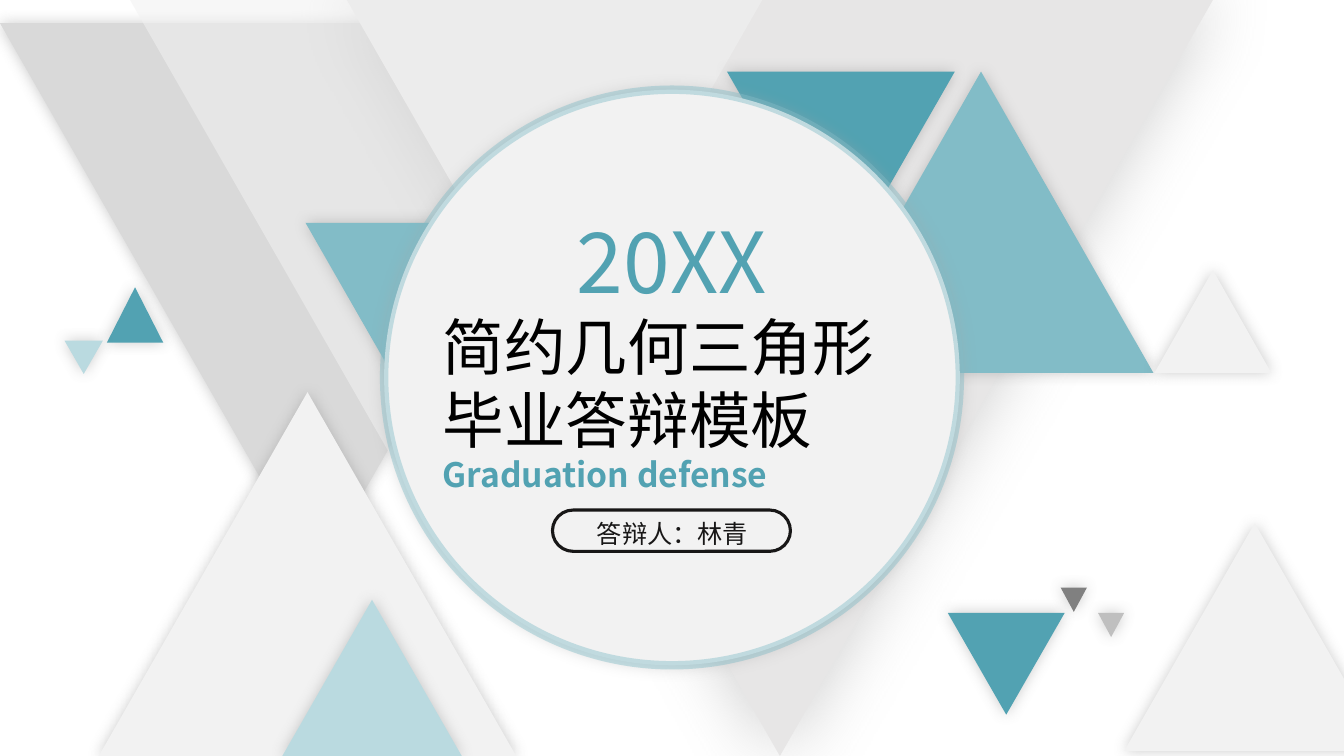
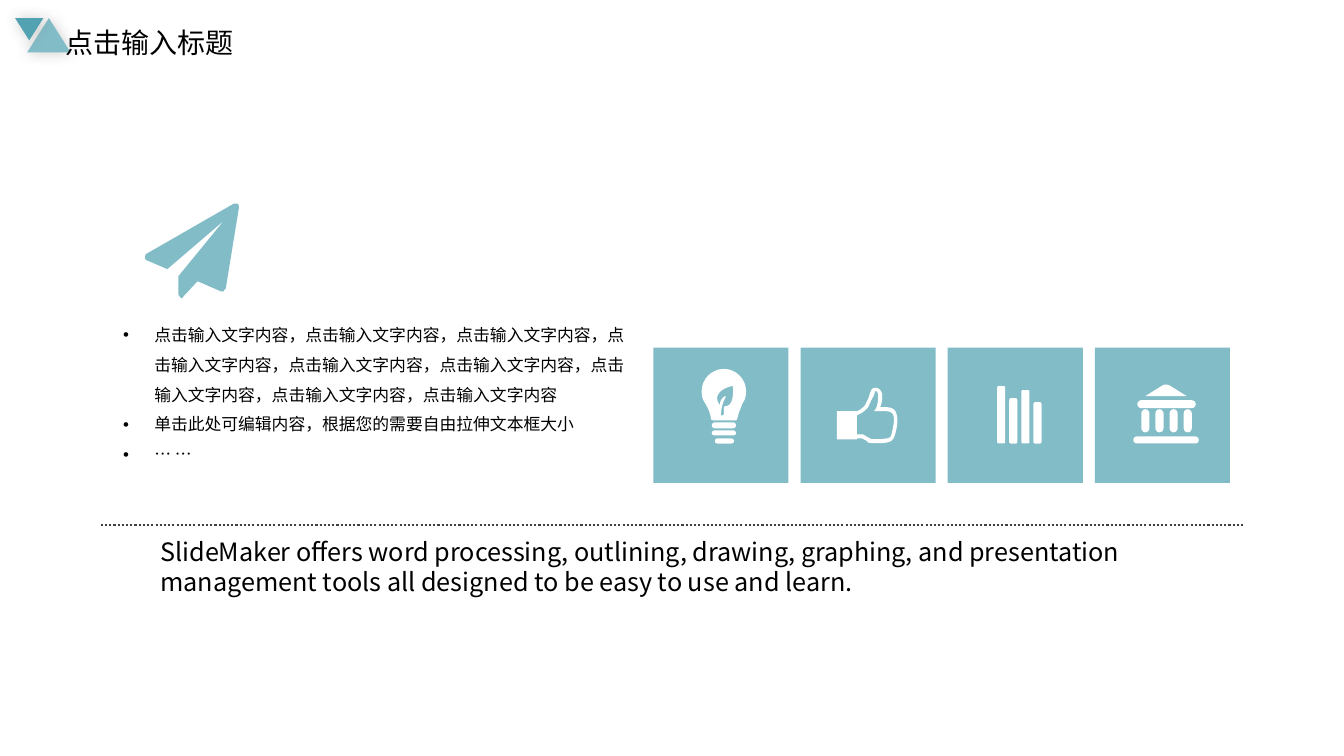
from lxml.etree import SubElement
from pptx import Presentation
from pptx.dml.color import RGBColor
from pptx.enum.dml import MSO_LINE
from pptx.enum.shapes import MSO_CONNECTOR, MSO_SHAPE
from pptx.enum.text import MSO_ANCHOR as ANCHOR, MSO_AUTO_SIZE as AUTOSIZE, PP_ALIGN as ALIGN
from pptx.oxml.ns import qn
from pptx.util import Inches, Pt

FONT = "Noto Sans CJK SC"
TEAL, MID, PALE = "52A2B2", "82BCC7", "BADAE0"
LIGHT, WHITE, BLACK, INK = "F2F2F2", "FFFFFF", "000000", "181717"


def rgb(value):
    return RGBColor.from_string(value)


def set_alpha(parent, percent):
    clr = next(parent.iter(qn("a:srgbClr")))
    SubElement(clr, qn("a:alpha"), val=str(percent * 1000))


def curve(start, c):
    points = []
    for i in range(1, 9):
        t = i / 8
        u = 1 - t
        points.append(tuple(
            u**3 * start[k] + 3 * u * u * t * c[k]
            + 3 * u * t * t * c[k + 2] + t**3 * c[k + 4]
            for k in (0, 1)))
    return points


def outline(steps):
    points = [steps[0]]
    for step in steps[1:]:
        points += curve(points[-1], step) if len(step) == 6 else [step]
    return [(Inches(x), Inches(y)) for x, y in points]


class Deck:
    def __init__(self):
        self.prs = Presentation()
        self.prs.slide_width = Inches(13.33)
        self.prs.slide_height = Inches(7.5)
        self.s = None

    def slide(self, layout):
        self.s = self.prs.slides.add_slide(self.prs.slide_layouts[layout])

    def paint(self, sp, fill=None, line=None, width=1, blur=0, shadow="808080"):
        sp.shadow.inherit = False
        if fill:
            sp.fill.solid()
            sp.fill.fore_color.rgb = rgb(fill)
        else:
            sp.fill.background()
        if line:
            sp.line.color.rgb = rgb(line)
            sp.line.width = Pt(width)
        else:
            sp.line.fill.background()
        if blur:
            effects = sp.element.spPr.find(qn("a:effectLst"))
            outer = SubElement(effects, qn("a:outerShdw"), blurRad=str(Pt(blur)),
                               dist="0", dir="0", algn="ctr", rotWithShape="0")
            SubElement(outer, qn("a:srgbClr"), val=shadow)
            set_alpha(outer, 40)
        return sp

    def shape(self, kind, at, fill=None, **style):
        sp = self.s.shapes.add_shape(kind, *map(Inches, at))
        return self.paint(sp, fill, **style)

    def triangle(self, at, fill, down=False, blur=10):
        sp = self.shape(MSO_SHAPE.ISOSCELES_TRIANGLE, at, fill, blur=blur)
        sp.rotation = 180 if down else 0
        return sp

    def bar(self, at, fill=None, roundness=0.5, **style):
        sp = self.shape(MSO_SHAPE.ROUNDED_RECTANGLE, at, fill, **style)
        sp.adjustments[0] = roundness

    def icon(self, fill, *contours):
        first, *rest = [outline(c) for c in contours]
        fb = self.s.shapes.build_freeform(*first[0])
        fb.add_line_segments(first[1:], close=True)
        for points in rest:
            fb.move_to(*points[0])
            fb.add_line_segments(points[1:], close=True)
        self.paint(fb.convert_to_shape(), fill)

    def dotted_line(self, x1, x2, y):
        cx = self.s.shapes.add_connector(
            MSO_CONNECTOR.STRAIGHT, Inches(x1), Inches(y), Inches(x2), Inches(y))
        cx.line.color.rgb = rgb("404040")
        cx.line.width = Pt(1.5)
        cx.line.dash_style = MSO_LINE.ROUND_DOT
        SubElement(cx.element.spPr, qn("a:effectLst"))

    def set_lines(self, sp, at, lines, align=ALIGN.LEFT, inset=(0.1, 0.05), hang=0):
        sp.left, sp.top, sp.width, sp.height = map(Inches, at)
        tf = sp.text_frame
        tf.word_wrap = True
        tf.auto_size = AUTOSIZE.NONE
        tf.vertical_anchor = ANCHOR.TOP
        tf.margin_left = tf.margin_right = Inches(inset[0])
        tf.margin_top = tf.margin_bottom = Inches(inset[1])
        for i, (text, size, color, pitch, *options) in enumerate(lines):
            p = tf.add_paragraph() if i else tf.paragraphs[0]
            p.alignment = ALIGN.CENTER if "center" in options else align
            p.line_spacing = Pt(pitch)
            p.space_before = p.space_after = Pt(0)
            if hang:
                pPr = p._p.get_or_add_pPr()
                pPr.set("marL", str(Inches(hang)))
                pPr.set("indent", str(-Inches(hang)))
            r = p.add_run()
            r.text = text
            r.font.size = Pt(size)
            r.font.bold = "bold" in options
            r.font.color.rgb = rgb(color)
            r.font.name = FONT
            SubElement(r.font._element, qn("a:ea"), typeface=FONT)

    def placeholder(self, idx, at, lines, **style):
        sp = self.s.placeholders[idx]
        self.s.shapes.element.append(sp.element)
        self.set_lines(sp, at, lines, **style)

    def text(self, at, lines, **style):
        self.set_lines(self.s.shapes.add_textbox(0, 0, 0, 0), at, lines, **style)


def cover(d):
    d.slide(0)
    d.triangle((0, 0.23, 6.27, 5.48), "D9D9D9", down=True)
    d.triangle((3.44, 0, 8.59, 7.5), "E7E6E6", down=True, blur=53)
    d.triangle((0.98, 3.89, 4.14, 3.61), LIGHT)
    d.triangle((2.8, 5.95, 1.78, 1.55), PALE)
    veil = d.triangle((1.29, 0, 6.27, 5.48), LIGHT, down=True, blur=0)
    set_alpha(veil.element.spPr, 54)
    for at, fill, down in (
        ((8.02, 0.71, 3.42, 2.99), MID, False),
        ((3.03, 2.21, 3.54, 3.09), MID, True),
        ((9.4, 6.08, 1.16, 1.01), TEAL, True),
        ((11.45, 2.68, 1.16, 1.02), LIGHT, False),
        ((7.21, 0.71, 2.26, 1.97), TEAL, True),
        ((1.06, 2.85, 0.56, 0.55), TEAL, False),
        ((0.64, 3.38, 0.38, 0.33), PALE, True),
        ((10.52, 5.83, 0.26, 0.24), "808080", True),
        ((10.89, 6.08, 0.26, 0.24), "BFBFBF", True),
        ((11.15, 5.19, 2.59, 2.26), LIGHT, False),
    ):
        d.triangle(at, fill, down)
    disc = d.shape(MSO_SHAPE.OVAL, (3.81, 0.89, 5.71, 5.71), LIGHT,
                   line=MID, width=6, blur=10, shadow="A6A6A6")
    set_alpha(disc.element.spPr.find(qn("a:ln")), 43)
    d.placeholder(0, (4.29, 1.96, 4.74, 3), [
        ("20XX", 60, TEAL, 77, "center"),
        ("简约几何三角形", 44, BLACK, 52),
        ("毕业答辩模板", 44, BLACK, 52),
        ("Graduation defense", 24, TEAL, 27, "bold"),
    ])
    d.placeholder(1, (5.56, 5.09, 2.22, 0.4),
                  [("答辩人：林青", 18, INK, 21.4)], align=ALIGN.CENTER)
    d.bar((5.48, 5.06, 2.36, 0.41), line=INK, width=2.25)


def bulb(d):
    for at in ((7.06, 4.19, 0.24, 0.06), (7.06, 4.27, 0.24, 0.05), (7.09, 4.35, 0.19, 0.05)):
        d.bar(at, WHITE)
    glass = [
        (7.32, 4.13), (7.33, 4.08, 7.35, 4.05, 7.36, 4.01),
        (7.38, 3.98, 7.4, 3.95, 7.4, 3.88), (7.4, 3.76, 7.3, 3.66, 7.18, 3.66),
        (7.06, 3.66, 6.96, 3.76, 6.96, 3.88), (6.96, 3.95, 6.98, 3.98, 7, 4.01),
        (7.02, 4.05, 7.04, 4.08, 7.05, 4.14), (7.05, 4.16, 7.06, 4.17, 7.07, 4.17),
        (7.29, 4.17), (7.3, 4.17, 7.31, 4.17, 7.31, 4.16),
    ]
    leaf = [
        (7.15, 4.11), (7.16, 4, 7.19, 3.95, 7.2, 3.94), (7.19, 3.93),
        (7.18, 3.94, 7.14, 3.96, 7.14, 4.02), (7.13, 4.01, 7.1, 3.96, 7.12, 3.92),
        (7.14, 3.88, 7.18, 3.85, 7.26, 3.83), (7.27, 3.83),
        (7.27, 3.86, 7.28, 3.96, 7.24, 4.01), (7.23, 4.02, 7.21, 4.03, 7.19, 4.03),
        (7.19, 4.03, 7.18, 4.04, 7.18, 4.05), (7.18, 4.11), (7.17, 4.12), (7.15, 4.12),
    ]
    d.icon(WHITE, glass, leaf)


def thumb(d):
    hand = [
        (8.89, 4.1), (8.88, 4.06, 8.84, 4.04, 8.79, 4.04), (8.73, 4.04),
        (8.74, 4.02, 8.75, 3.98, 8.75, 3.95), (8.75, 3.91),
        (8.74, 3.87, 8.71, 3.84, 8.67, 3.85), (8.65, 3.85, 8.64, 3.87, 8.63, 3.9),
        (8.62, 3.94, 8.6, 3.98, 8.58, 4.02), (8.56, 4.05, 8.52, 4.07, 8.5, 4.08),
        (8.3, 4.08), (8.3, 4.36), (8.5, 4.36), (8.5, 4.35), (8.55, 4.35),
        (8.59, 4.37), (8.61, 4.39), (8.64, 4.4, 8.75, 4.4, 8.8, 4.39),
        (8.86, 4.38, 8.87, 4.33, 8.87, 4.33), (8.88, 4.32, 8.92, 4.17, 8.89, 4.1),
    ]
    palm = [
        (8.84, 4.32), (8.84, 4.32, 8.83, 4.35, 8.79, 4.35),
        (8.74, 4.36, 8.65, 4.36, 8.63, 4.35), (8.61, 4.34), (8.56, 4.31),
        (8.5, 4.31), (8.5, 4.12), (8.53, 4.11, 8.58, 4.08, 8.61, 4.04),
        (8.63, 4, 8.65, 3.95, 8.67, 3.92), (8.68, 3.88),
        (8.7, 3.88, 8.71, 3.9, 8.71, 3.92), (8.71, 3.95),
        (8.71, 4, 8.69, 4.05, 8.69, 4.05), (8.67, 4.08), (8.79, 4.08),
        (8.82, 4.08, 8.85, 4.09, 8.86, 4.12), (8.88, 4.16, 8.85, 4.28, 8.84, 4.32),
    ]
    d.icon(WHITE, hand, palm)


def books(d):
    for i, top in enumerate((3.83, 3.95, 3.87, 3.99)):
        d.bar((9.89 + 0.12 * i, top, 0.08, 4.4 - top), WHITE, roundness=0.2)


def temple(d):
    d.bar((11.24, 4.33, 0.65, 0.07), WHITE)
    for i in range(4):
        d.bar((11.32 + 0.14 * i, 4.06, 0.08, 0.23), WHITE)
    d.bar((11.28, 3.97, 0.58, 0.08), WHITE)
    d.icon(WHITE, [(11.77, 3.93), (11.61, 3.83),
                   (11.58, 3.81, 11.55, 3.81, 11.52, 3.83), (11.36, 3.93)])


def content(d):
    d.slide(1)
    d.triangle((0.27, 0.18, 0.43, 0.34), MID)
    d.triangle((0.15, 0.18, 0.28, 0.22), TEAL, down=True)
    d.placeholder(0, (0.55, 0.18, 2.03, 0.44), [("点击输入标题", 20, BLACK, 26)])
    d.icon(MID, [
        (2.37, 2.06), (2.24, 2.86), (2.24, 2.87, 2.22, 2.87, 2.22, 2.89),
        (2.19, 2.89), (1.96, 2.79), (1.82, 2.94), (1.82, 2.94, 1.81, 2.96, 1.8, 2.96),
        (1.78, 2.94, 1.77, 2.93, 1.77, 2.91), (1.77, 2.74), (2.22, 2.19),
        (1.66, 2.67), (1.45, 2.58), (1.44, 2.57, 1.44, 2.57, 1.44, 2.56),
        (1.44, 2.54, 1.44, 2.53, 1.45, 2.52), (2.32, 2.02), (2.36, 2.02),
        (2.37, 2.04, 2.37, 2.05, 2.37, 2.06),
    ])
    d.dotted_line(1, 12.33, 5.21)
    d.text((1.59, 5.32, 10.55, 0.61), [(
        "SlideMaker offers word processing, outlining, drawing, graphing, and "
        "presentation management tools all designed to be easy to use and learn.",
        18, BLACK, 21.4)], inset=(0, 0))
    points = ("，".join(["点击输入文字内容"] * 9),
              "单击此处可编辑内容，根据您的需要自由拉伸文本框大小", "… …")
    d.placeholder(1, (1.12, 3.07, 5.29, 1.92),
                  [(text, 12, BLACK, 21.4) for text in points], hang=0.31)
    for i in range(4):
        d.shape(MSO_SHAPE.RECTANGLE, (6.48 + 1.46 * i, 3.45, 1.34, 1.34), MID)
    for draw in (bulb, thumb, books, temple):
        draw(d)


def main():
    d = Deck()
    cover(d)
    content(d)
    d.prs.save("out.pptx")


if __name__ == "__main__":
    main()
